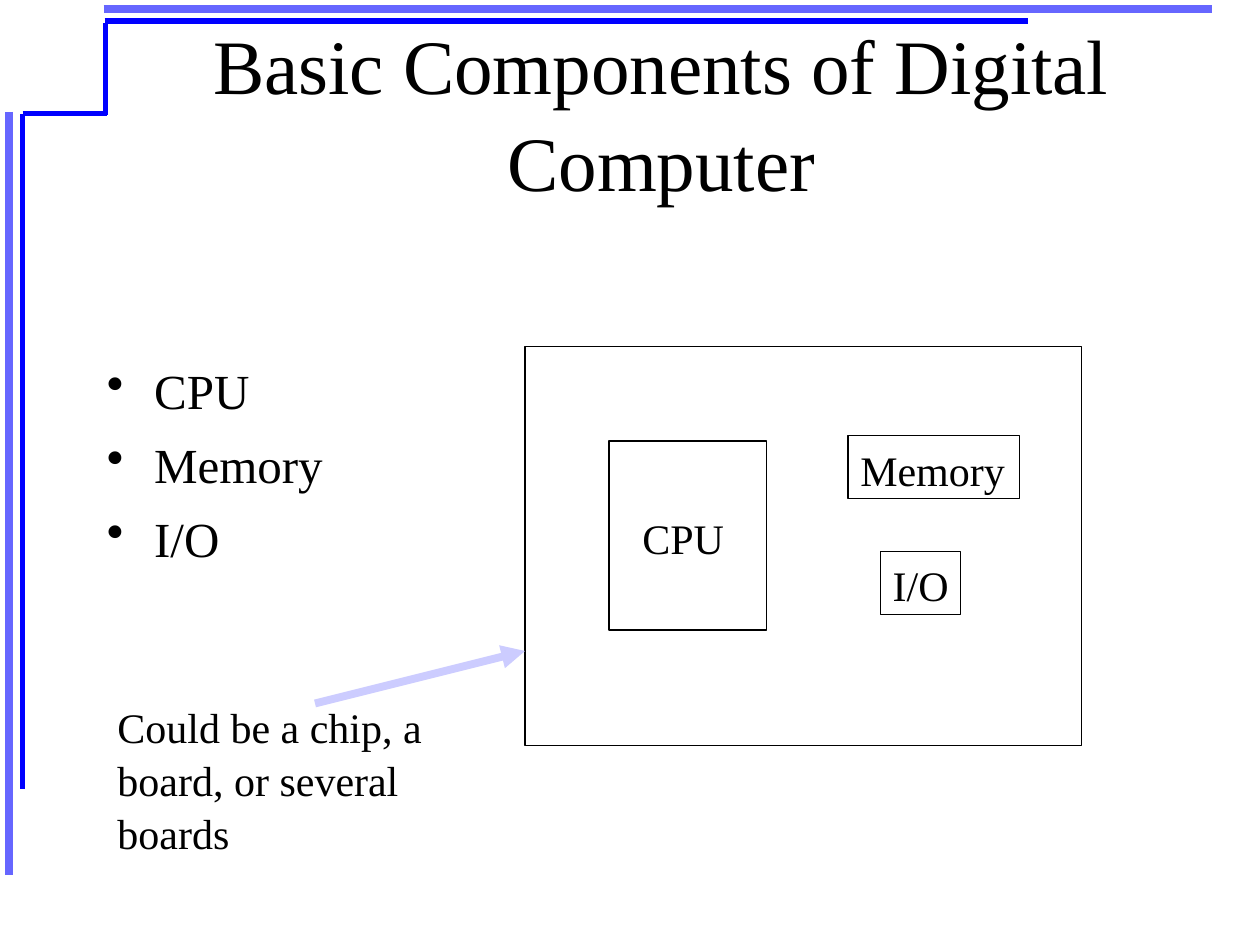
import pptx
import pptx.util
import pptx.dml.color
import pptx.enum.shapes
import pptx.enum.text
import pptx.oxml.ns
import lxml.etree
from dataclasses import dataclass

Pt = pptx.util.Pt
ALIGN = pptx.enum.text.PP_ALIGN
ANCHOR = pptx.enum.text.MSO_ANCHOR


@dataclass
class Theme:
    font: str = "Times New Roman"
    ink: str = "000000"
    blue: str = "0000FF"
    soft: str = "6666FF"
    pale: str = "CCCCFF"
    head: int = 44
    list: int = 28
    note: int = 24


def color(code):
    return pptx.dml.color.RGBColor.from_string(code)


def node(owner, tag, **attrs):
    """Append a drawing element with the given attributes."""
    return lxml.etree.SubElement(owner, pptx.oxml.ns.qn(tag), attrs)


def write(shape, *lines, theme, size, align=ALIGN.LEFT, anchor=ANCHOR.TOP,
          wrap=True, bullet=False, gap=0):
    """Fill a shape with one paragraph for each line."""
    frame = shape.text_frame
    frame.word_wrap = wrap
    frame.vertical_anchor = anchor
    frame.auto_size = pptx.enum.text.MSO_AUTO_SIZE.NONE
    for i, line in enumerate(lines):
        para = frame.paragraphs[0] if i == 0 else frame.add_paragraph()
        para.alignment = align
        para.line_spacing = 1.05
        para.space_before = Pt(gap if i else 0)
        if bullet:
            props = para._p.get_or_add_pPr()
            props.set("marL", str(Pt(27)))
            props.set("indent", str(-Pt(27)))
            node(props, "a:buChar", char="•")
        run = para.add_run()
        run.text = line
        run.font.name, run.font.size = theme.font, Pt(size)
        run.font.color.rgb = color(theme.ink)


class Page:
    def __init__(self, slide, theme):
        self.slide, self.theme = slide, theme

    def title(self, text, *area):
        shape = self.slide.shapes.title
        shape.left, shape.top, shape.width, shape.height = map(Pt, area)
        write(shape, text, theme=self.theme, size=self.theme.head,
              align=ALIGN.CENTER, anchor=ANCHOR.MIDDLE)

    def text(self, lines, *area, **style):
        shape = self.slide.shapes.add_textbox(*map(Pt, area))
        write(shape, *lines, theme=self.theme, **style)

    def box(self, *area, label=None):
        shape = self.slide.shapes.add_shape(
            pptx.enum.shapes.MSO_SHAPE.RECTANGLE, *map(Pt, area))
        shape.shadow.inherit = False
        shape.fill.background()
        shape.line.color.rgb = color(self.theme.ink)
        shape.line.width = Pt(0.75)
        if label:
            write(shape, label, theme=self.theme, size=self.theme.note,
                  wrap=False)

    def line(self, *ends, tint, width, arrow=False):
        link = self.slide.shapes.add_connector(
            pptx.enum.shapes.MSO_CONNECTOR.STRAIGHT, *map(Pt, ends))
        link.line.color.rgb = color(tint)
        link.line.width = Pt(width)
        props = link._element.spPr
        if arrow:
            node(props.get_or_add_ln(), "a:tailEnd", type="triangle")
        node(props, "a:effectLst")


def main():
    deck = pptx.Presentation()
    deck.slide_width, deck.slide_height = Pt(720), Pt(540)
    theme = Theme()
    page = Page(deck.slides.add_slide(deck.slide_layouts[5]), theme)

    # Corner frame: soft outer bars, blue inner steps
    for ends in ((5, 64, 5, 500), (59.3, 5, 692.5, 5)):
        page.line(*ends, tint=theme.soft, width=4.5)
    for ends in ((13, 65, 13, 451), (59.8, 12, 587.5, 12),
                 (13, 65, 61, 65), (60.5, 66, 60.5, 13)):
        page.line(*ends, tint=theme.blue, width=3)

    # Title and list
    page.title("Basic Components of Digital Computer", 72, 18, 612, 90)
    page.text(("CPU", "Memory", "I/O"), 54, 201, 300, 130,
              size=theme.list, bullet=True, gap=7)

    # Computer with its parts
    page.box(300, 198, 318, 228)
    page.box(348, 252, 90, 108)
    page.text(["CPU"], 360, 288, 61, 36, size=theme.note, wrap=False)
    page.box(484.5, 249, 98, 36, label="Memory")
    page.box(503, 315, 46, 36, label="I/O")

    # Note with its arrow
    page.line(180, 402, 300, 372, tint=theme.pale, width=4.5, arrow=True)
    page.text(["Could be a chip, a board, or several boards"],
              60, 396, 193, 94, size=theme.note)

    deck.save("out.pptx")


if __name__ == "__main__":
    main()
